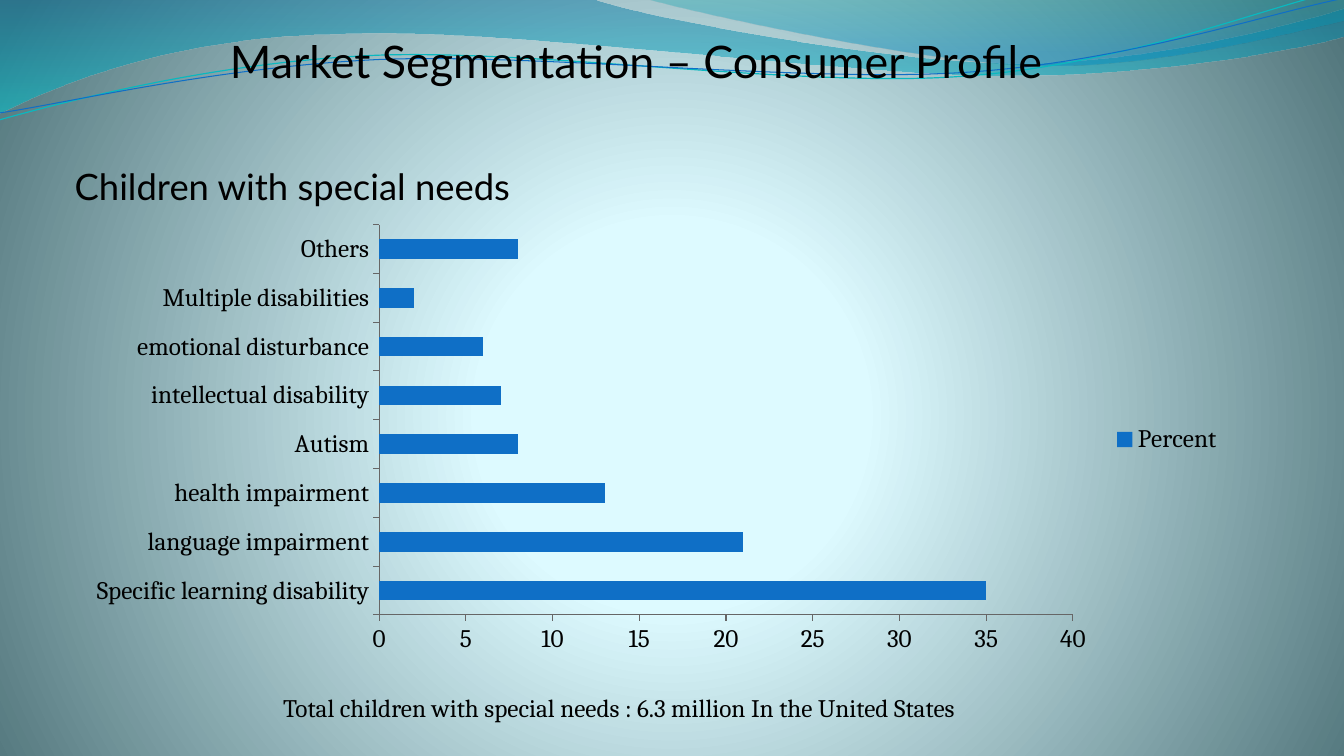
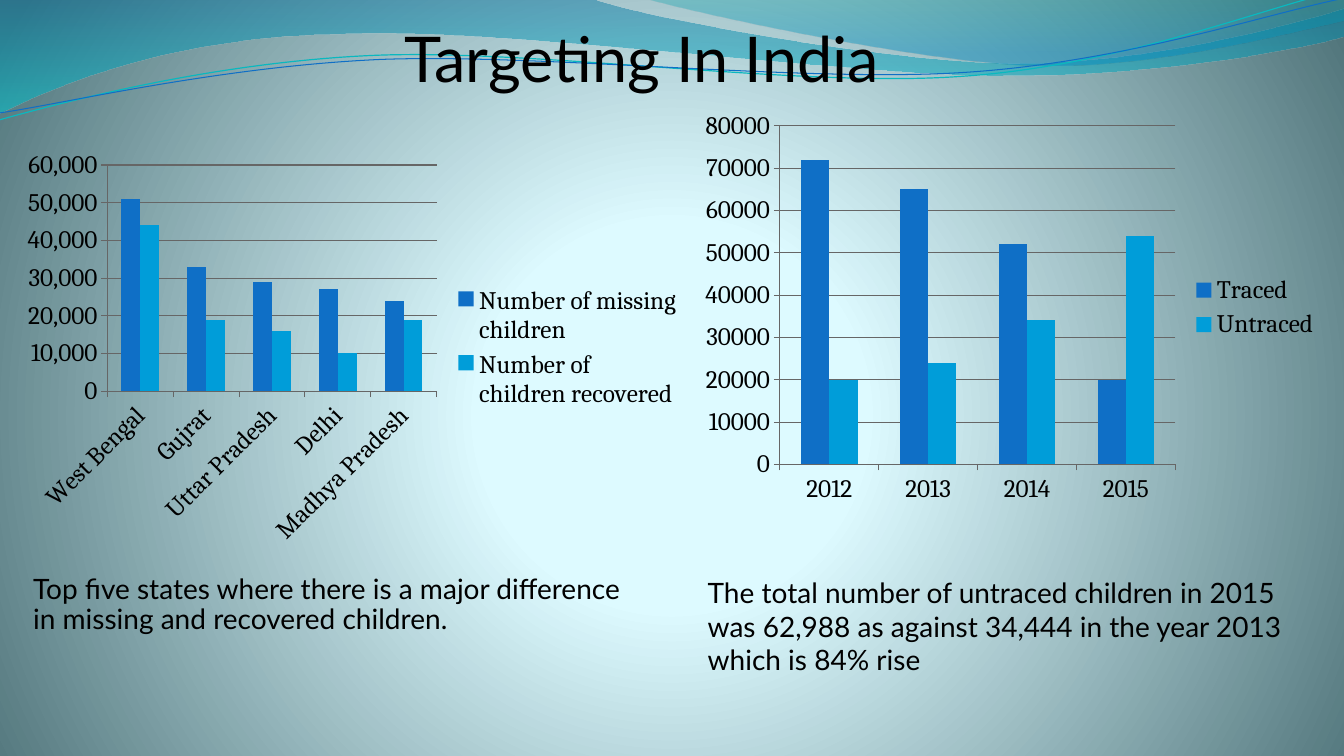
from dataclasses import dataclass

from pptx import Presentation
from pptx import util as u
from pptx.chart.data import CategoryChartData
from pptx.dml.color import RGBColor
from pptx.enum import chart as ch
from pptx.enum import text as t
from pptx.oxml import parse_xml
from pptx.oxml.ns import nsdecls, qn

TITLE_AND_CONTENT, TITLE_ONLY = 1, 5


@dataclass(frozen=True)
class Theme:
    heading: str = "Lato"
    body: str = "Cambria"
    ink: str = "000000"
    axis: str = "666666"
    series: tuple = ("0F6FC6", "009DD9")
    title_size: int = 32
    big_title_size: int = 45
    subtitle_size: int = 26
    caption_size: int = 20
    label_size: int = 18
    # Gradient stops: position %, colour, opacity %
    backdrop: tuple = ((0, "DEFBFF", 100), (25, "DDFAFF", 100), (100, "52767C", 100))
    wide_band: tuple = ((0, "0074A1", 45), (100, "00C6CF", 55))
    right_band: tuple = ((0, "00A1A9", 30), (80, "008BBF", 45))
    teal_line: str = "0AB8BF"
    blue_line: str = "0F6FC6"


THEME = Theme()

# Outlines in inches: a start point, then line ends (2 numbers) or cubic curves (6).
WIDE_BAND = [
    (0, 0), (5.87, -0.01),
    (6.34, 0.17, 8.85, 0.63, 10.11, 0.63),
    (11.38, 0.63, 12.78, 0.26, 13.33, 0.09),
    (13.35, 0.36),
    (13.11, 0.44, 11.6, 0.76, 9.94, 0.75),
    (8.29, 0.75, 5.09, 0.28, 3.43, 0.34),
    (1.72, 0.36, 0.61, 0.83, -0.01, 1.13),
    (0, 0),
]
RIGHT_BAND = [
    (6.39, -0.01),
    (6.79, 0.11, 9.09, 0.62, 10.25, 0.65),
    (11.41, 0.69, 12.82, 0.32, 13.33, 0.21),
    (13.33, 0), (6.39, -0.01),
]
TEAL_LINE = [
    (-0.01, 1.19),
    (0.64, 1.01, 2.11, 0.62, 3.69, 0.55),
    (5.27, 0.48, 7.9, 0.87, 9.5, 0.76),
    (11.1, 0.66, 12.52, 0.08, 13.31, -0.1),
]
BLUE_LINE = [
    (0, 1.12),
    (0.63, 1.03, 2.18, 0.66, 3.78, 0.59),
    (5.37, 0.53, 7.96, 0.82, 9.55, 0.72),
    (11.15, 0.62, 12.55, 0.14, 13.34, -0.02),
]


def rgb(value):
    return RGBColor.from_string(value)


def bend(shape, segments):
    """Turn the straight sides of a freeform into the cubic curves of its outline."""
    sides = list(shape.element.iter(qn("a:lnTo")))
    left, top = shape.left, shape.top
    for side, segment in zip(sides, segments):
        if len(segment) == 6:
            points = "".join(
                f'<a:pt x="{u.Inches(x) - left}" y="{u.Inches(y) - top}"/>'
                for x, y in zip(segment[::2], segment[1::2]))
            curve = parse_xml(
                f'<a:cubicBezTo {nsdecls("a")}>{points}</a:cubicBezTo>')
            side.getparent().replace(side, curve)


def paint_gradient(fill, holder, stops, direction):
    """Replace the fill found in holder by a gradient."""
    fill.solid()
    fill.fore_color.rgb = rgb(stops[0][1])
    stop_list = "".join(
        f'<a:gs pos="{pos * 1000}"><a:srgbClr val="{color}">'
        + (f'<a:alpha val="{opacity * 1000}"/>' if opacity < 100 else "")
        + '</a:srgbClr></a:gs>'
        for pos, color, opacity in stops)
    gradient = parse_xml(f'<a:gradFill {nsdecls("a")} rotWithShape="1">'
                         f'<a:gsLst>{stop_list}</a:gsLst>{direction}</a:gradFill>')
    solid = holder.find(".//" + qn("a:solidFill"))
    solid.getparent().replace(solid, gradient)


def format_font(font, size, face, color=THEME.ink):
    font.size, font.name, font.bold = u.Pt(size), face, False
    font.color.rgb = rgb(color)


def write(frame, text, *, size, face=THEME.heading, align=t.PP_ALIGN.LEFT,
          anchor=t.MSO_ANCHOR.TOP, fit=t.MSO_AUTO_SIZE.NONE, spacing=1.0,
          insets=(0.1, 0.05, 0.1, 0.05)):
    frame.word_wrap, frame.auto_size, frame.vertical_anchor = True, fit, anchor
    (frame.margin_left, frame.margin_top,
     frame.margin_right, frame.margin_bottom) = map(u.Inches, insets)
    frame.text = text
    paragraph = frame.paragraphs[0]
    paragraph.alignment, paragraph.line_spacing = align, spacing
    paragraph.space_before = u.Pt(0)
    properties = paragraph._p.get_or_add_pPr()
    properties.set("marL", "0")
    properties.set("indent", "0")
    properties.append(parse_xml(f'<a:buNone {nsdecls("a")}/>'))
    format_font(paragraph.runs[0].font, size, face)


class Deck:
    def __init__(self):
        self.prs = Presentation()
        self.prs.slide_width, self.prs.slide_height = u.Inches(13.33), u.Inches(7.5)
        self.slide = None

    def start(self, layout):
        first = self.slide is None
        self.slide = self.prs.slides.add_slide(self.prs.slide_layouts[layout])
        if first:
            self.decorate_master()

    def decorate_master(self):
        master = self.prs.slide_master
        background = master.background.fill
        paint_gradient(
            background, master.element.find(".//" + qn("p:bg")), THEME.backdrop,
            '<a:path path="circle">'
            '<a:fillToRect l="10000" t="110000" r="10000" b="100000"/></a:path>')
        waves = [
            self.wave(WIDE_BAND, stops=THEME.wide_band),
            self.wave(RIGHT_BAND, stops=THEME.right_band),
            self.wave(TEAL_LINE, line=THEME.teal_line, width=0.85),
            self.wave(BLUE_LINE, line=THEME.blue_line, width=0.75),
        ]
        # The first two children of a shape tree are its own properties.
        for place, wave in enumerate(waves, start=2):
            master.shapes.element.insert(place, wave.element)

    def wave(self, outline, stops=None, line=None, width=0):
        start, *segments = outline
        builder = self.slide.shapes.build_freeform(*map(u.Inches, start), scale=1.0)
        ends = [tuple(map(u.Inches, segment[-2:])) for segment in segments]
        builder.add_line_segments(ends, close=stops is not None)
        shape = builder.convert_to_shape()
        bend(shape, segments)
        shape.shadow.inherit = False
        if stops:
            shape.line.fill.background()
            paint_gradient(shape.fill, shape.element, stops,
                           '<a:lin ang="5400000" scaled="1"/>')
        else:
            shape.fill.background()
            shape.line.color.rgb = rgb(line)
            shape.line.width = u.Pt(width)
        return shape

    def place(self, shape, box):
        shape.left, shape.top, shape.width, shape.height = map(u.Inches, box)
        return shape.text_frame

    def title(self, text, box, size=THEME.title_size):
        write(self.place(self.slide.shapes.title, box), text, size=size,
              align=t.PP_ALIGN.CENTER, anchor=t.MSO_ANCHOR.BOTTOM,
              insets=(0, 0.05, 0, 0))

    def body(self, text, box):
        write(self.place(self.slide.placeholders[1], box), text,
              size=THEME.subtitle_size)

    def caption(self, text, box, **style):
        frame = self.slide.shapes.add_textbox(*map(u.Inches, box)).text_frame
        write(frame, text, **{"size": THEME.caption_size, **style})

    def chart(self, kind, box, categories, series, top, step,
              number_format="General", grid=True):
        data = CategoryChartData(number_format=number_format)
        data.categories = categories
        for name, values in series.items():
            data.add_series(name, values)
        chart = self.slide.shapes.add_chart(kind, *map(u.Inches, box), data).chart
        format_font(chart.font, THEME.label_size, THEME.body)
        chart.has_title = False
        chart.has_legend = True
        chart.legend.position = ch.XL_LEGEND_POSITION.RIGHT
        chart.legend.include_in_layout = False

        plot = chart.plots[0]
        plot.gap_width, plot.vary_by_categories = 150, False
        for bars, color in zip(plot.series, THEME.series):
            bars.format.fill.solid()
            bars.format.fill.fore_color.rgb = rgb(color)

        for axis in (chart.category_axis, chart.value_axis):
            axis.major_tick_mark = ch.XL_TICK_MARK.OUTSIDE
            axis.has_major_gridlines = False
            axis.format.line.color.rgb = rgb(THEME.axis)
        scale = chart.value_axis
        scale.minimum_scale, scale.maximum_scale, scale.major_unit = 0, top, step
        scale.tick_labels.number_format = number_format
        scale.tick_labels.number_format_is_linked = False
        if grid:
            scale.has_major_gridlines = True
            scale.major_gridlines.format.line.color.rgb = rgb(THEME.axis)


def consumer_profile(deck):
    deck.start(TITLE_AND_CONTENT)
    deck.title("Market Segmentation – Consumer Profile", (0.56, 0.15, 11.5, 0.72))
    deck.body("Children with special needs", (0.64, 1.58, 11.78, 5.18))
    shares = {
        "Specific learning disability": 35,
        "language impairment": 21,
        "health impairment": 13,
        "Autism": 8,
        "intellectual disability": 7,
        "emotional disturbance": 6,
        "Multiple disabilities": 2,
        "Others": 8,
    }
    deck.chart(ch.XL_CHART_TYPE.BAR_CLUSTERED, (0.73, 2.14, 11.5, 4.44),
               list(shares), {"Percent": list(shares.values())},
               top=40, step=5, grid=False)
    deck.caption("Total children with special needs : 6.3 million In the United States",
                 (2.71, 6.82, 8.41, 0.4), size=THEME.label_size, face=THEME.body,
                 fit=t.MSO_AUTO_SIZE.SHAPE_TO_FIT_TEXT)


def targeting_in_india(deck):
    deck.start(TITLE_ONLY)
    deck.caption("Top five states where there is a major difference in missing and "
                 "recovered children.", (0.23, 5.66, 6.07, 1.86), spacing=0.9)
    deck.title("Targeting In India", (3.45, 0.15, 5.83, 0.79), THEME.big_title_size)
    columns = ch.XL_CHART_TYPE.COLUMN_CLUSTERED
    deck.chart(columns, (6.87, 1.02, 6.32, 4.06),
               ["2012", "2013", "2014", "2015"],
               {"Traced": [72000, 65000, 52000, 20000],
                "Untraced": [20000, 24000, 34000, 54000]},
               top=80000, step=10000)
    deck.caption("The total number of untraced children in 2015 was 62,988 as against "
                 "34,444 in the year 2013 which is 84% rise", (6.92, 5.66, 5.91, 1.11),
                 fit=t.MSO_AUTO_SIZE.SHAPE_TO_FIT_TEXT)
    deck.chart(columns, (0.14, 1.41, 6.73, 4.08),
               ["West Bengal", "Gujrat", "Uttar Pradesh", "Delhi", "Madhya Pradesh"],
               {"Number of missing children": [51000, 33000, 29000, 27000, 24000],
                "Number of children recovered": [44000, 19000, 16000, 10000, 19000]},
               top=60000, step=10000, number_format="#,##0")


def main():
    deck = Deck()
    consumer_profile(deck)
    targeting_in_india(deck)
    deck.prs.save("out.pptx")


if __name__ == "__main__":
    main()
